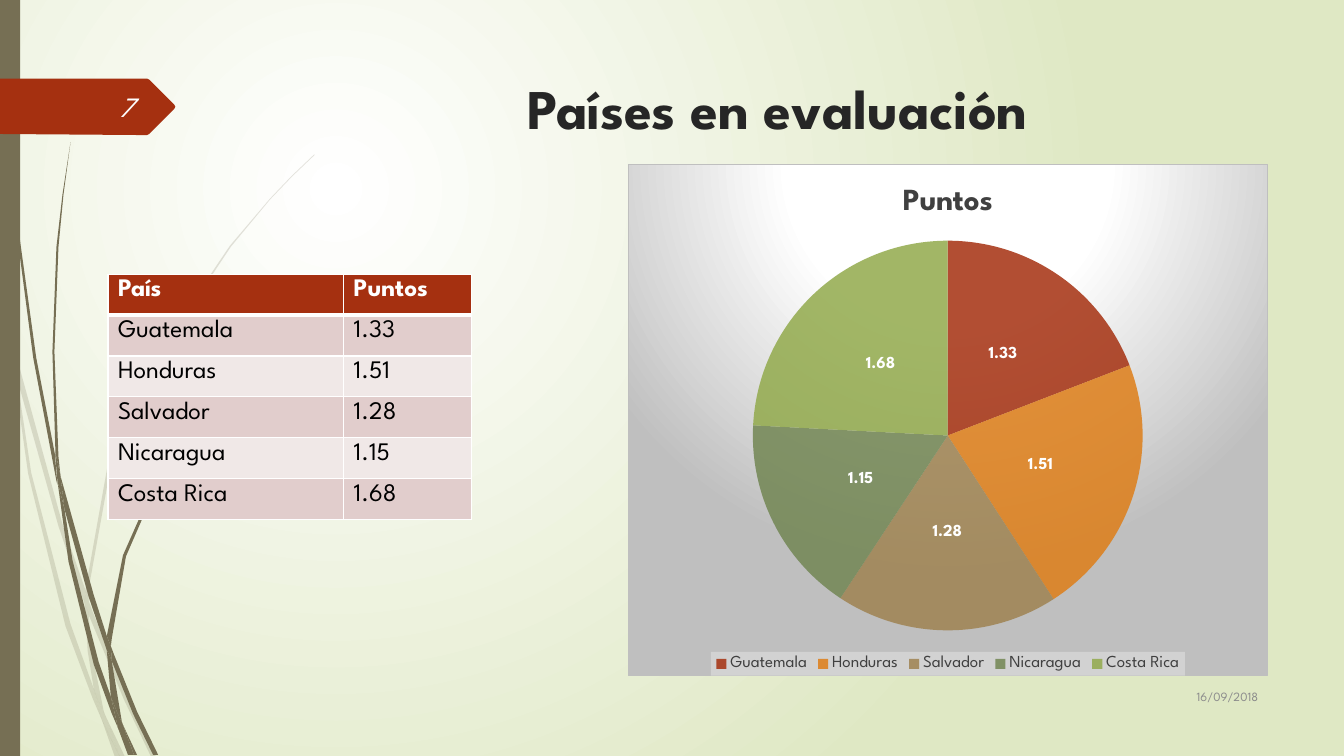
from dataclasses import dataclass

from pptx import Presentation, oxml
from pptx import util as u
from pptx.chart import data as chart_data
from pptx.dml import color
from pptx.enum import chart as chart_enum
from pptx.enum import shapes, text
from pptx.oxml import ns


@dataclass(frozen=True)
class Theme:
    """Colours, font and type sizes of the slide."""
    font: str = "League Spartan"
    olive: str = "766F54"
    rust: str = "A53010"
    white: str = "FFFFFF"
    black: str = "000000"
    ink: str = "262626"
    chart_ink: str = "404040"
    date_grey: str = "8C8C8C"
    frame_grey: str = "BFBFBF"
    legend_back: str = "F2F2F2"
    background: str = "DFE8C4"
    bands: tuple = ("E1CDCC", "F0E8E7")
    slices: tuple = ("A53010", "DE7E18", "9F8351", "728653", "92AA4C")
    title: int = 40
    chart_title: int = 22
    number: int = 20
    table: int = 18
    label: int = 12
    date: int = 9


COUNTRIES = ["Guatemala", "Honduras", "Salvador", "Nicaragua", "Costa Rica"]
POINTS = [1.33, 1.51, 1.28, 1.15, 1.68]

# Outlines are x, y pairs in hundredths of an inch.
PALE_STEMS = [
    [(11, 350), (9, 322), (0, 282), (0, 299), (10, 344)],
    [(58, 522), (84, 599), (85, 586), (62, 520), (14, 345), (17, 376)],
    [(92, 607), (88, 596), (88, 610), (123, 694), (150, 751), (155, 751), (127, 692)],
    [(119, 751), (124, 751), (105, 711)],
    [(93, 683), (70, 619), (31, 469), (17, 376), (11, 350), (28, 470), (65, 621),
     (92, 693), (101, 714), (99, 707)],
    [(84, 599), (87, 646), (93, 683), (96, 692), (105, 711), (103, 706), (91, 646),
     (88, 610), (88, 608)],
    [(88, 584), (110, 462), (160, 349), (229, 245), (268, 198), (290, 175), (312, 154),
     (312, 153), (289, 175), (268, 197), (228, 244), (158, 348), (107, 461), (85, 584),
     (85, 586), (88, 596)],
    [(101, 714), (114, 751), (119, 751)],
    [(88, 608), (88, 610), (88, 596), (85, 586), (84, 599)],
    [(96, 692), (93, 683), (99, 707), (101, 714), (119, 751), (105, 711)],
]
DARK_STEMS = [
    [(7, 110), (17, 233), (33, 355), (56, 477), (57, 481), (55, 457), (55, 453),
     (36, 355), (19, 232), (8, 109), (5, 48), (4, 0), (3, 0), (4, 48)],
    [(88, 592), (106, 645), (106, 631), (93, 590), (60, 472), (64, 505)],
    [(113, 649), (110, 641), (111, 656), (132, 708), (152, 749), (157, 749), (136, 706)],
    [(110, 691), (98, 657), (72, 556), (64, 505), (57, 477), (68, 557), (93, 659),
     (111, 708), (117, 722), (116, 717)],
    [(60, 472), (58, 453), (54, 349), (58, 245), (63, 193), (70, 141), (62, 193),
     (56, 245), (52, 349), (55, 449)],
    [(133, 749), (136, 749), (122, 719)],
    [(57, 477), (64, 505), (60, 472), (55, 449), (55, 453)],
    [(111, 633), (125, 552), (158, 476), (205, 406), (231, 374), (245, 359), (261, 344),
     (260, 344), (245, 358), (231, 373), (204, 405), (156, 474), (122, 551), (106, 631),
     (110, 641)],
    [(117, 722), (127, 749), (131, 749)],
    [(106, 645), (110, 691), (116, 706), (122, 719), (121, 716), (111, 656), (109, 651)],
    [(106, 645), (109, 651), (111, 656), (110, 641), (106, 631)],
    [(116, 706), (110, 691), (116, 717), (117, 722), (130, 749), (133, 749), (122, 719)],
]
PAGE_TAG = [(173, 108), (148, 133), (146, 134), (136, 134), (0, 133), (0, 78),
            (146, 78), (148, 79), (173, 104), (174, 106)]


def element(tag, body="", attributes=""):
    """Build one XML element with the drawing and chart namespaces."""
    return oxml.parse_xml(f'<{tag} {ns.nsdecls("a", "c")} {attributes}>{body}</{tag}>')


def solid(rgb, alpha=100):
    """Return the XML of a solid fill."""
    return (f'<a:solidFill><a:srgbClr val="{rgb}"><a:alpha val="{alpha * 1000}"/>'
            '</a:srgbClr></a:solidFill>')


def radial(stops, focus):
    """Return the body of a circular gradient fill around a focus rectangle."""
    colours = "".join(f'<a:gs pos="{at * 1000}"><a:srgbClr val="{rgb}"/></a:gs>'
                      for at, rgb in stops)
    sides = " ".join(f'{side}="{share * 1000}"' for side, share in zip("ltrb", focus))
    return (f'<a:gsLst>{colours}</a:gsLst><a:path path="circle">'
            f'<a:fillToRect {sides}/></a:path>')


class SlideBuilder:
    """Holds the theme and the current slide."""

    def __init__(self, slide, theme):
        """Keep the slide and its style."""
        self.slide, self.theme = slide, theme

    def style(self, font, size, rgb, bold=False, italic=False):
        """Format any font object."""
        font.name, font.size = self.theme.font, u.Pt(size)
        font.bold, font.italic = bold, italic
        font.color.rgb = color.RGBColor.from_string(rgb)

    def paint(self, fill, rgb, alpha=100):
        """Give a fill one colour, optionally see-through."""
        fill.solid()
        fill.fore_color.rgb = color.RGBColor.from_string(rgb)
        if alpha < 100:
            tint = fill._xPr.find(".//" + ns.qn("a:srgbClr"))
            tint.append(element("a:alpha", attributes=f'val="{alpha * 1000}"'))

    def background(self):
        """Fill the slide with a soft circular glow."""
        fill = self.slide.background.fill
        fill.solid()
        glow = radial([(0, self.theme.white), (100, self.theme.background)],
                      (50, 50, 100, 100))
        fill._xPr.replace(fill._xPr[0], element("a:gradFill", glow))

    def finish(self, shape, rgb, alpha=100):
        """Paint a shape without line or shadow."""
        self.paint(shape.fill, rgb, alpha)
        shape.line.fill.background()
        shape.shadow.inherit = False

    def outline(self, owner, points, rgb, alpha=100):
        """Draw a closed outline in a shape collection."""
        pen = owner.build_freeform(*points[0], scale=u.Cm(0.0254))
        pen.add_line_segments(points[1:], close=True)
        self.finish(pen.convert_to_shape(), rgb, alpha)

    def stems(self, outlines, alpha=100):
        """Draw one group of grass stems."""
        group = self.slide.shapes.add_group_shape()
        for points in outlines:
            self.outline(group.shapes, points, self.theme.olive, alpha)

    def bar(self, *box):
        """Draw the strip along the left edge."""
        strip = self.slide.shapes.add_shape(shapes.MSO_SHAPE.RECTANGLE, *map(u.Cm, box))
        self.finish(strip, self.theme.olive)

    def title(self, words, *box):
        """Move, fill and format the title placeholder."""
        heading = self.slide.shapes.title
        heading.left, heading.top, heading.width, heading.height = map(u.Cm, box)
        frame = heading.text_frame
        frame.text = words
        frame.auto_size = text.MSO_AUTO_SIZE.NONE
        frame.vertical_anchor = text.MSO_ANCHOR.TOP
        frame.paragraphs[0].alignment = text.PP_ALIGN.CENTER
        self.style(frame.paragraphs[0].runs[0].font, self.theme.title, self.theme.ink, True)
        self.slide.shapes._spTree.append(heading._element)

    def note(self, words, size, rgb, *box, italic=False):
        """Add a right-aligned line of text."""
        frame = self.slide.shapes.add_textbox(*map(u.Cm, box)).text_frame
        frame.text, frame.word_wrap = words, True
        frame.vertical_anchor = text.MSO_ANCHOR.MIDDLE
        frame.paragraphs[0].alignment = text.PP_ALIGN.RIGHT
        self.style(frame.paragraphs[0].runs[0].font, size, rgb, italic=italic)

    def table(self, rows, widths, row_height, left, top):
        """Add a banded table with a header row."""
        grid = self.slide.shapes.add_table(
            len(rows), len(widths), u.Cm(left), u.Cm(top),
            u.Cm(sum(widths)), u.Cm(row_height * len(rows))).table
        for column, width in zip(grid.columns, widths):
            column.width = u.Cm(width)
        for r, row in enumerate(rows):
            header = r == 0
            borders = {"L": 1, "R": 1, "T": 3 if r == 1 else 1, "B": 3 if header else 1}
            for c, words in enumerate(row):
                cell = grid.cell(r, c)
                cell.text_frame.text = words
                for side, points in borders.items():
                    cell._tc.get_or_add_tcPr().append(element(
                        f"a:ln{side}", solid(self.theme.white), f'w="{u.Pt(points)}"'))
                self.paint(cell.fill, self.theme.rust if header
                           else self.theme.bands[(r - 1) % 2])
                self.style(cell.text_frame.paragraphs[0].runs[0].font, self.theme.table,
                           self.theme.white if header else self.theme.black, header)

    def pie(self, name, categories, values, *box):
        """Add the pie chart with labels, legend and gradient frame."""
        theme = self.theme
        figures = chart_data.CategoryChartData()
        figures.categories = categories
        figures.add_series(name, values)
        chart = self.slide.shapes.add_chart(
            chart_enum.XL_CHART_TYPE.PIE, *map(u.Cm, box), figures).chart
        self.style(chart.font, 10, theme.black)
        chart.has_title = True
        heading = chart.chart_title.text_frame
        heading.text = name
        self.style(heading.paragraphs[0].runs[0].font, theme.chart_title,
                   theme.chart_ink, True)

        plot = chart.plots[0]
        plot.vary_by_categories = True
        for i, rgb in enumerate(theme.slices):
            self.paint(plot.series[0].points[i].format.fill, rgb, 85)
        labels = plot.series[0].data_labels
        labels.show_value = True
        labels.position = chart_enum.XL_LABEL_POSITION.CENTER
        self.style(labels.font, theme.label, theme.white, True)

        chart.has_legend = True
        legend = chart.legend
        legend.position = chart_enum.XL_LEGEND_POSITION.BOTTOM
        legend.include_in_layout = False
        self.style(legend.font, theme.label, theme.chart_ink)
        legend._element.find(ns.qn("c:overlay")).addnext(
            element("c:spPr", solid(theme.legend_back, 39)))

        area = chart._chartSpace.chart.plotArea
        for old in area.findall(ns.qn("c:layout")):
            area.remove(old)
        spots = "".join(f'<c:{key} val="{value}"/>' for key, value in (
            ("layoutTarget", "inner"), ("xMode", "edge"), ("yMode", "edge"),
            ("x", 0.195), ("y", 0.148), ("w", 0.61), ("h", 0.764)))
        area.insert(0, element("c:layout", f"<c:manualLayout>{spots}</c:manualLayout>"))
        glow = radial([(0, theme.white), (39, theme.white), (100, theme.frame_grey)],
                      (50, -80, 50, 180))
        chart._chartSpace.chart.addnext(element(
            "c:spPr", f'<a:gradFill>{glow}</a:gradFill>'
            f'<a:ln w="{u.Pt(0.75)}">{solid(theme.frame_grey)}</a:ln>'))


def main():
    """Build and save the slide."""
    deck = Presentation()
    deck.slide_width, deck.slide_height = u.Cm(33.87), u.Cm(19.05)
    theme = Theme()
    page = SlideBuilder(deck.slides.add_slide(deck.slide_layouts[5]), theme)
    page.background()
    page.stems(PALE_STEMS, 20)
    page.stems(DARK_STEMS)
    page.bar(0, 0, 0.51, 19.05)
    page.outline(page.slide.shapes, PAGE_TAG, theme.rust)
    page.title("Países en evaluación", 7.21, 1.73, 24.77, 3.56)
    scores = [(country, f"{points:.2f}") for country, points in zip(COUNTRIES, POINTS)]
    page.table([("País", "Puntos")] + scores, (5.94, 3.23), 1.03, 2.72, 6.91)
    page.note("16/09/2018", theme.date, theme.date_grey, 28.78, 17.02, 3.18, 1.04)
    page.note("7", theme.number, "FEFFFF", 1.47, 2.18, 2.16, 1.02, italic=True)
    page.pie("Puntos", COUNTRIES, POINTS, 15.82, 4.14, 16.13, 12.9)
    deck.save("out.pptx")


main()
